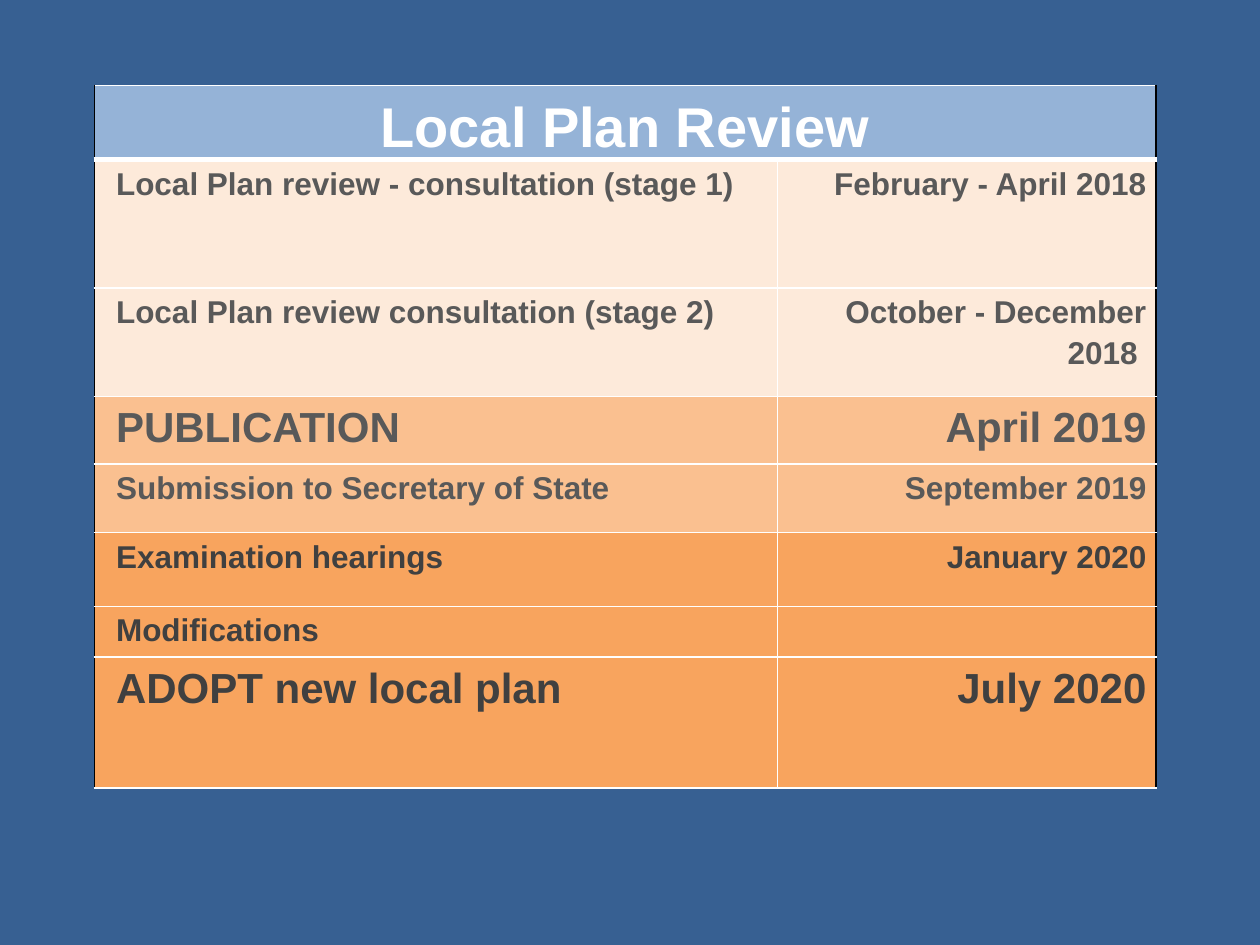
import dataclasses

import lxml.etree
import pptx
import pptx.dml.color
import pptx.enum.text
import pptx.oxml.ns
import pptx.table
import pptx.util

COLORS = {
    "background": "376092",
    "header": "95B3D7",
    "consultation": "FDEADA",
    "publication": "FAC090",
    "adoption": "F8A45E",
    "grey": "595959",
    "charcoal": "404040",
    "white": "FFFFFF",
    "black": "000000",
}
FONT = "Arial"
COLUMN_WIDTHS = (13.77, 7.63)
HEADER_HEIGHT = 1.5
ALIGN = pptx.enum.text.PP_ALIGN


@dataclasses.dataclass
class Milestone:
    stage: str
    date: str
    height: float
    fill: str
    ink: str
    size: int = 18


MILESTONES = [
    Milestone("Local Plan review - consultation (stage 1)", "February - April 2018", 2.59, "consultation", "grey"),
    Milestone("Local Plan review consultation (stage 2)", "October - December 2018 ", 2.18, "consultation", "grey"),
    Milestone("PUBLICATION", "April 2019", 1.36, "publication", "grey", 24),
    Milestone("Submission to Secretary of State", "September 2019", 1.39, "publication", "grey"),
    Milestone("Examination hearings", "January 2020", 1.49, "adoption", "charcoal"),
    Milestone("Modifications", "", 1.02, "adoption", "charcoal"),
    Milestone("ADOPT new local plan", "July 2020", 2.64, "adoption", "charcoal", 24),
]


def color(name: str) -> pptx.dml.color.RGBColor:
    return pptx.dml.color.RGBColor.from_string(COLORS[name])


def set_borders(cell: pptx.table._Cell, borders: dict[str, tuple[str, float]]) -> None:
    properties = cell._tc.get_or_add_tcPr()
    for position, side in enumerate("LRTB"):
        name, width = borders[side]
        line = lxml.etree.Element(pptx.oxml.ns.qn(f"a:ln{side}"), w=str(pptx.util.Pt(width)))
        fill = lxml.etree.SubElement(line, pptx.oxml.ns.qn("a:solidFill"))
        lxml.etree.SubElement(fill, pptx.oxml.ns.qn("a:srgbClr"), val=COLORS[name])
        properties.insert(position, line)


def fill_cell(cell: pptx.table._Cell, text: str, fill: str, ink: str, size: int,
              align: ALIGN, indent: float = 0) -> None:
    cell.fill.solid()
    cell.fill.fore_color.rgb = color(fill)
    cell.margin_left = cell.margin_right = pptx.util.Cm(0.19)
    cell.margin_top = pptx.util.Cm(0.03)
    cell.margin_bottom = 0
    para = cell.text_frame.paragraphs[0]
    para.text = text
    para.alignment = align
    para.line_spacing = 1.15
    para._p.get_or_add_pPr().set("marL", str(pptx.util.Cm(indent)))
    para.font.name = FONT
    para.font.size = pptx.util.Pt(size)
    para.font.bold = True
    para.font.color.rgb = color(ink)


def build_timetable(slide: pptx.slide.Slide) -> None:
    heights = [HEADER_HEIGHT] + [milestone.height for milestone in MILESTONES]
    frame = slide.shapes.add_table(
        len(heights), len(COLUMN_WIDTHS), pptx.util.Cm(1.9), pptx.util.Cm(1.72),
        pptx.util.Cm(sum(COLUMN_WIDTHS)), pptx.util.Cm(sum(heights)))
    table = frame.table
    for column, width in zip(table.columns, COLUMN_WIDTHS):
        column.width = pptx.util.Cm(width)
    for row, height in zip(table.rows, heights):
        row.height = pptx.util.Cm(height)

    header = table.cell(0, 0)
    header.merge(table.cell(0, 1))
    fill_cell(header, "Local Plan Review", "header", "white", 32, ALIGN.CENTER)
    header.vertical_anchor = pptx.enum.text.MSO_ANCHOR.MIDDLE

    for index, milestone in enumerate(MILESTONES, 1):
        look = (milestone.fill, milestone.ink, milestone.size)
        fill_cell(table.cell(index, 0), milestone.stage, *look, ALIGN.LEFT, 0.25)
        fill_cell(table.cell(index, 1), milestone.date, *look, ALIGN.RIGHT)

    thin, thick, edge = ("white", 1), ("white", 3), ("black", 1)
    for index in range(len(heights)):
        for column in range(len(COLUMN_WIDTHS)):
            set_borders(table.cell(index, column), {
                "L": edge if column == 0 else thin,
                "R": edge if column == 1 or index == 0 else thin,
                "T": thick if index == 1 else thin,
                "B": thick if index == 0 else thin,
            })


def main() -> None:
    deck = pptx.Presentation()
    deck.slide_width = pptx.util.Cm(25.4)
    deck.slide_height = pptx.util.Cm(19.05)
    slide = deck.slides.add_slide(deck.slide_layouts[6])
    slide.background.fill.solid()
    slide.background.fill.fore_color.rgb = color("background")
    build_timetable(slide)
    deck.save("out.pptx")


if __name__ == "__main__":
    main()
